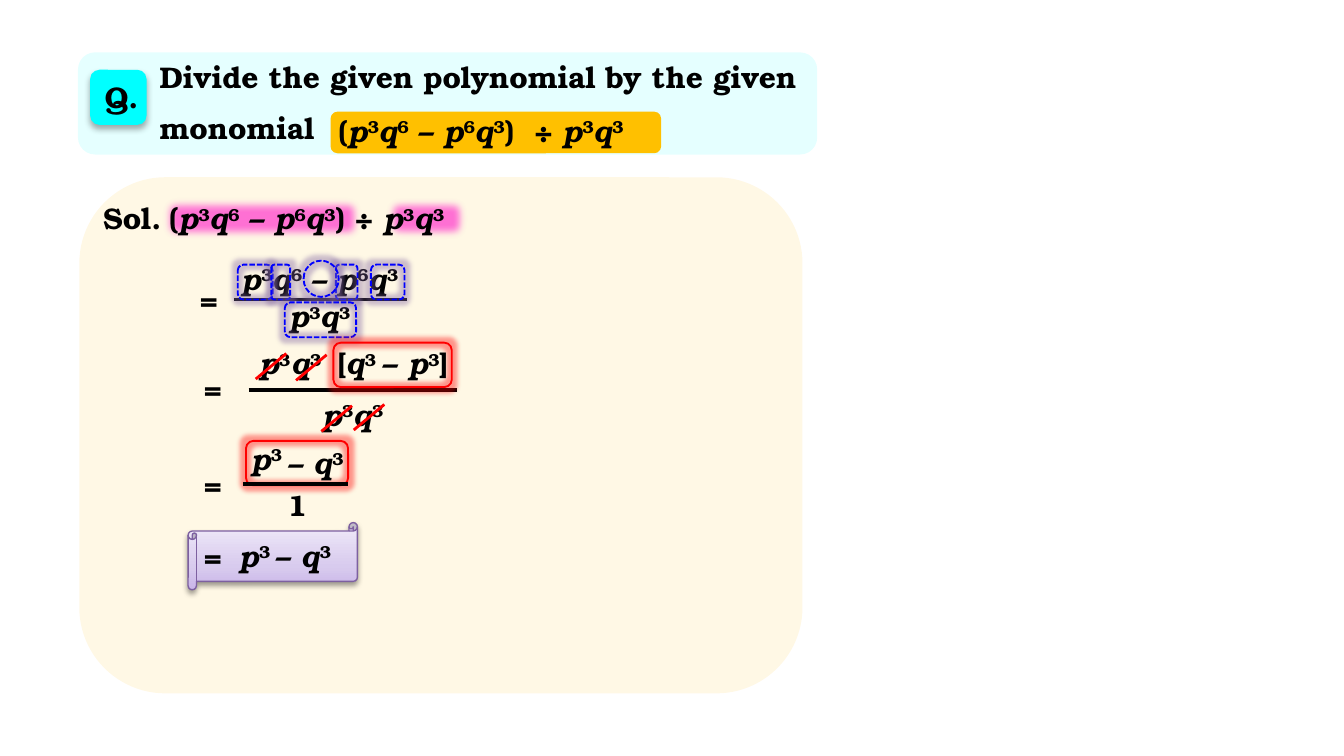
from copy import deepcopy
from itertools import groupby

from lxml import etree
from pptx import Presentation
from pptx.dml.color import RGBColor
from pptx.enum.dml import MSO_LINE
from pptx.enum.shapes import MSO_CONNECTOR, MSO_SHAPE
from pptx.enum.text import PP_ALIGN
from pptx.oxml.ns import qn
from pptx.util import Pt

FONT = {"name": "TeX Gyre Bonum", "size": Pt(16), "bold": True}
TEXT_MARGINS = {"margin_left": Pt(7.2), "margin_right": Pt(7.2),
                "margin_top": Pt(3.6), "margin_bottom": Pt(3.6)}
NO_MARGINS = dict.fromkeys(TEXT_MARGINS, Pt(0))
LINE_HEIGHT = 26.6
BLACK, RED, BLUE = "000000", "FF0000", "0000FF"
CYAN, AMBER, PINK = "00FFFF", "FFC000", "FF33CC"
PURPLE, PURPLE_EDGE = "8064A2", "7D60A0"
SCROLL_STOPS = [(0, "F0EAF9"), (0.65, "D8CBEE"), (1, "C9B5E8")]


def color(hex_value):
    return RGBColor.from_string(hex_value)


def set_all(target, values):
    for name, value in values.items():
        setattr(target, name, value)


def add_alpha(parent, percent):
    etree.SubElement(parent, qn("a:alpha"), val=str(percent * 1000))


def add_effect(shape, kind, hex_value=None, alpha=100, **lengths):
    """Append one effect (glow, softEdge, outerShdw) to the shape."""
    effects = shape._element.spPr.find(qn("a:effectLst"))
    values = {name: str(int(value)) for name, value in lengths.items()}
    effect = etree.SubElement(effects, qn("a:" + kind), values)
    if hex_value:
        add_alpha(etree.SubElement(effect, qn("a:srgbClr"), val=hex_value), alpha)


def add_box(slide, kind, left, top, width, height, fill=None, alpha=100,
            line=None, weight=1):
    shape = slide.shapes.add_shape(kind, Pt(left), Pt(top), Pt(width), Pt(height))
    shape.shadow.inherit = False
    set_all(shape.text_frame, NO_MARGINS)
    if fill:
        shape.fill.solid()
        shape.fill.fore_color.rgb = color(fill)
        if alpha < 100:
            add_alpha(shape._element.spPr.find(".//" + qn("a:srgbClr")), alpha)
    else:
        shape.fill.background()
    if line:
        shape.line.color.rgb = color(line)
        shape.line.width = Pt(weight)
    else:
        shape.line.fill.background()
    return shape


def add_glow_frame(slide, left, top, width, height, line=RED, glow=RED, dashed=False):
    shape = add_box(slide, MSO_SHAPE.ROUNDED_RECTANGLE, left, top, width, height, line=line)
    if dashed:
        shape.line.dash_style = MSO_LINE.SQUARE_DOT
    add_effect(shape, "glow", glow, 40, rad=Pt(5))
    return shape


def add_line(slide, x1, y1, x2, y2, hex_value=BLACK, weight=2.25):
    line = slide.shapes.add_connector(MSO_CONNECTOR.STRAIGHT, Pt(x1), Pt(y1), Pt(x2), Pt(y2))
    line.line.color.rgb = color(hex_value)
    line.line.width = Pt(weight)
    etree.SubElement(line._element.spPr, qn("a:effectLst"))


def add_run(paragraph, text, italic=False, raised=False):
    run = paragraph.add_run()
    run.text = text
    set_all(run.font, FONT)
    run.font.italic = italic
    run.font.color.rgb = color(BLACK)
    if raised:
        run.font._element.set("baseline", "30000")


def add_text(slide, left, top, width, *lines, align=PP_ALIGN.LEFT, wrap=True):
    height = LINE_HEIGHT + 28.8 * max(len(lines) - 1, 0)
    frame = slide.shapes.add_textbox(Pt(left), Pt(top), Pt(width), Pt(height)).text_frame
    set_all(frame, TEXT_MARGINS)
    frame.word_wrap = wrap
    frame.paragraphs[0].alignment = align
    for index, line in enumerate(lines):
        paragraph = frame.paragraphs[0]
        if index:
            paragraph = frame.add_paragraph()
            paragraph.space_before = Pt(8)
        add_run(paragraph, line)
    return frame


def add_math(slide, left, top, width, formula, align=PP_ALIGN.LEFT):
    """Variables p and q are italic; a character after ^ is raised."""
    paragraph = add_text(slide, left, top, width, align=align).paragraphs[0]
    styled = []
    for index, character in enumerate(formula):
        if character != "^":
            raised = index > 0 and formula[index - 1] == "^"
            styled.append((character, character in "pq", raised))
    for (italic, raised), group in groupby(styled, key=lambda item: item[1:]):
        add_run(paragraph, "".join(item[0] for item in group), italic, raised)


def add_equals(slide, left, top):
    add_text(slide, left, top, 24.5, "=", wrap=False)


def question(slide, left, top, width, height):
    add_box(slide, MSO_SHAPE.ROUNDED_RECTANGLE, left, top, width, height, CYAN, 10)
    # Badge
    badge = add_box(slide, MSO_SHAPE.ROUNDED_RECTANGLE, left + 6.5, top + 9.3, 30.2, 29.5, CYAN)
    add_effect(badge, "outerShdw", BLACK, 32, blurRad=Pt(3.5), dist=Pt(2.2), dir=5400000)
    add_text(slide, left + 5.7, top + 10.8, 35.3, "Q.", align=PP_ALIGN.CENTER)
    # Wording and highlighted expression
    add_box(slide, MSO_SHAPE.ROUNDED_RECTANGLE, left + 135.3, top + 31.7, 177.1, 22.3, AMBER)
    add_text(slide, left + 36.7, top, 497.5,
             "Divide the given polynomial by the given", "monomial")
    add_math(slide, left + 132.4, top + 28.8, 180, "(p^3q^6 – p^6q^3)  ÷ p^3q^3")


def given_expression(slide, left, top):
    for offset, width in ((36.8, 110.9), (156.3, 48.2)):
        marker = add_box(slide, MSO_SHAPE.RECTANGLE, left + offset, top, width,
                         LINE_HEIGHT, PINK, 68)
        add_effect(marker, "softEdge", rad=Pt(5))
    add_text(slide, left, top, 49, "Sol.")
    add_math(slide, left + 35.3, top, 180.7, "(p^3q^6 – p^6q^3) ÷ p^3q^3")


def fraction_step(slide, left, top):
    add_math(slide, left + 11.6, top, 119.5, "p^3q^6 – p^6q^3", PP_ALIGN.CENTER)
    add_math(slide, left + 44.7, top + 20.2, 53.3, "p^3q^3", PP_ALIGN.CENTER)
    add_equals(slide, left, top + 10.9)
    add_line(slide, left + 25.3, top + 24.6, left + 118.2, top + 24.6, weight=1.5)
    # Dashed frames around the common factors
    frames = [(27.4, 5.8, 18.7), (45.4, 5.8, 10.1), (80, 5.8, 11.5),
              (98.7, 5.8, 18), (52.6, 26, 38.2)]
    for x, y, width in frames:
        add_glow_frame(slide, left + x, top + y, width, 18.7, BLUE, PURPLE, True)
    minus_ring = add_glow_frame(slide, left + 62.7, top + 3.7, 18.7, 19.4, BLUE, PURPLE, True)
    minus_ring.adjustments[0] = 0.5


def cancel_step(slide, left, top):
    add_equals(slide, left, top + 13)
    add_line(slide, left + 31, top + 27.4, left + 142.6, top + 27.4)
    add_glow_frame(slide, left + 76.4, top + 2.2, 63.4, 23.8)
    # Numerator and denominator
    pieces = [(29.6, 36.7, "p^3"), (46.8, 39.6, "q^3"), (71.3, 43, "[q^3"),
              (95.8, 24, "–"), (109.5, 36, "p^3"), (126, 17.3, "]")]
    for x, width, formula in pieces:
        add_math(slide, left + x, top, width, formula)
    add_math(slide, left + 63.4, top + 27.4, 64.8, "p^3q^3")
    # Cancelling strokes
    for x, y in ((51.2, 8), (72.8, 8.7), (86.4, 36), (103.7, 35.3)):
        add_line(slide, left + x, top + y, left + x - 16.4, top + y + 13.7, RED, 1.5)


def reduced_step(slide, left, top):
    add_glow_frame(slide, left + 29.6, top + 3.6, 54.7, 23.8)
    add_equals(slide, left, top + 13.6)
    add_math(slide, left + 25.2, top, 46, "p^3")
    add_math(slide, left + 45.4, top + 2.1, 47.5, "– q^3")
    add_line(slide, left + 28.1, top + 26.6, left + 84.3, top + 26.6)
    add_math(slide, left + 44.7, top + 24.4, 21.6, "1")


def answer(slide, left, top, width, height):
    scroll = add_box(slide, MSO_SHAPE.HORIZONTAL_SCROLL, left, top, width, height,
                     line=PURPLE_EDGE, weight=0.75)
    scroll.fill.gradient()
    scroll.fill.gradient_angle = 270
    stop_list = scroll._element.spPr.find(".//" + qn("a:gsLst"))
    stop_list.append(deepcopy(stop_list[0]))
    for stop, (position, hex_value) in zip(scroll.fill.gradient_stops, SCROLL_STOPS):
        stop.position = position
        stop.color.rgb = color(hex_value)
    add_effect(scroll, "outerShdw", BLACK, 38, blurRad=Pt(3.1), dist=Pt(1.6), dir=5400000)
    add_equals(slide, left + 1.4, top + 4.4)
    add_math(slide, left + 20.2, top + 4.4, 66.2, "p^3^ – q^3")


def solution(slide, left, top, width, height):
    add_box(slide, MSO_SHAPE.ROUNDED_RECTANGLE, left, top, width, height, AMBER, 10)
    given_expression(slide, left + 5.7, top + 8.7)
    fraction_step(slide, left + 57.5, top + 41)
    cancel_step(slide, left + 59.7, top + 86.4)
    reduced_step(slide, left + 59.7, top + 137.6)
    answer(slide, left + 58.3, top + 185, 90.7, 36)


def main():
    presentation = Presentation()
    presentation.slide_width, presentation.slide_height = Pt(720), Pt(405)
    slide = presentation.slides.add_slide(presentation.slide_layouts[6])
    question(slide, 41.8, 28.1, 396, 54.7)
    solution(slide, 42.5, 95, 387.4, 276.5)
    presentation.save("out.pptx")


if __name__ == "__main__":
    main()
